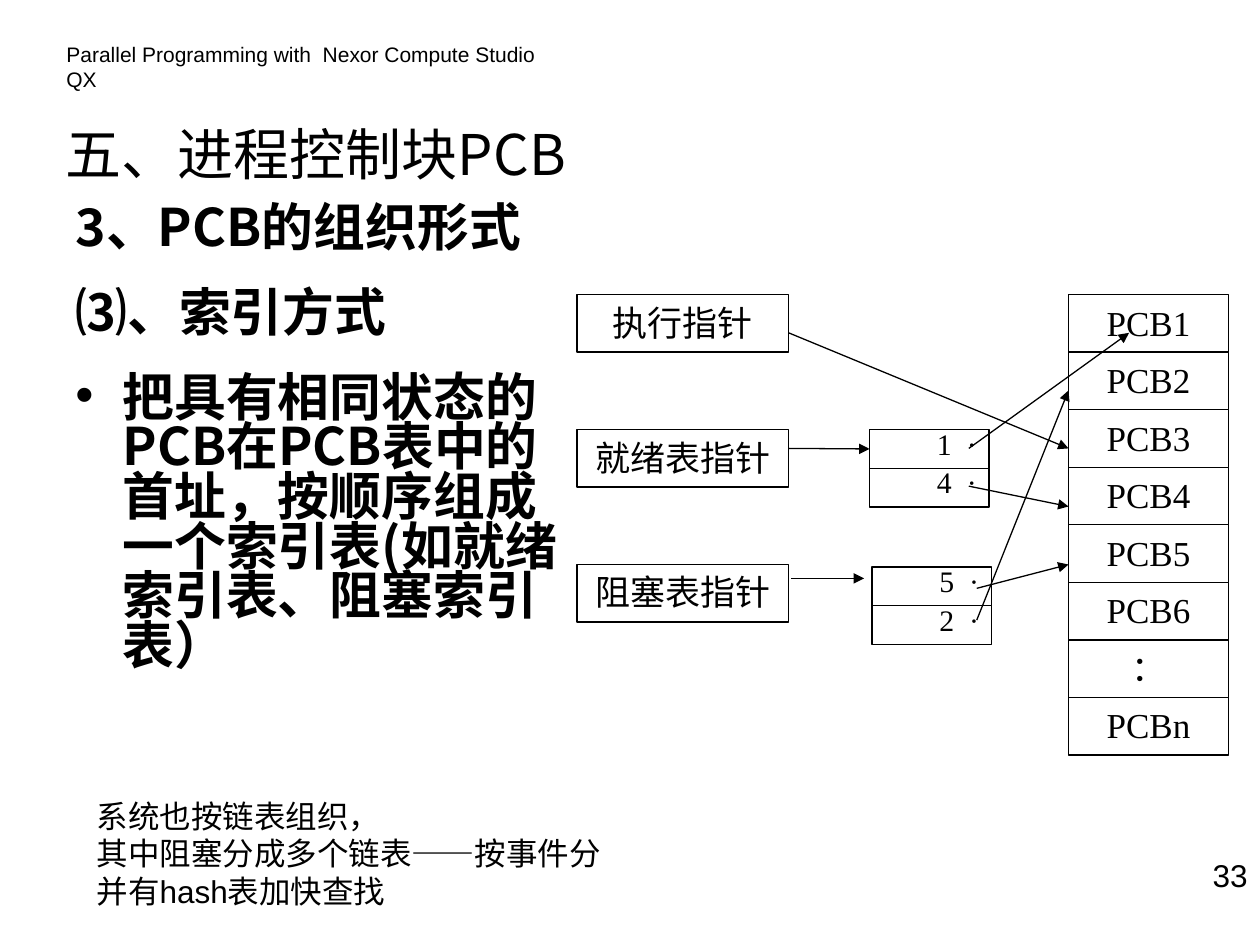
from pptx import Presentation
from pptx.dml.color import RGBColor
from pptx.enum.shapes import MSO_CONNECTOR as Connector, MSO_SHAPE as Shape
from pptx.enum.text import MSO_ANCHOR as Anchor, MSO_AUTO_SIZE as AutoSize, PP_ALIGN as Align
from pptx.oxml.ns import qn
from pptx.util import Cm, Pt
from lxml.etree import SubElement

BLACK = RGBColor(0, 0, 0)
WHITE = RGBColor(255, 255, 255)
HAN_FONT = "Noto Sans CJK SC"


def write(box, lines, font, size, bold=False, inset=0.13, anchor=Anchor.TOP,
          fit=AutoSize.NONE, **para_format):
    """Fill a text frame with one paragraph per line."""
    frame = box.text_frame
    frame_format = {"word_wrap": True, "auto_size": fit, "vertical_anchor": anchor,
                    "margin_left": Cm(0.25), "margin_right": Cm(0.25),
                    "margin_top": Cm(inset), "margin_bottom": Cm(inset)}
    for name, value in frame_format.items():
        setattr(frame, name, value)
    frame.text = "\n".join(lines)
    for para in frame.paragraphs:
        for name, value in para_format.items():
            setattr(para, name, value)
        for span in para.runs:
            for name, value in {"name": font, "size": Pt(size), "bold": bold}.items():
                setattr(span.font, name, value)
            span.font.color.rgb = BLACK
            SubElement(span.font._element, qn("a:ea"), typeface=HAN_FONT)


def add_cell(left, top, width, height, text, **text_format):
    """Add a white box with a thin black outline."""
    box = page.shapes.add_shape(Shape.RECTANGLE, Cm(left), Cm(top), Cm(width), Cm(height))
    box.shadow.inherit = False
    box.fill.solid()
    box.fill.fore_color.rgb = WHITE
    box.line.color.rgb = BLACK
    box.line.width = Pt(0.75)
    write(box, [text], "Times New Roman", **text_format)
    return box


deck = Presentation()
deck.slide_width, deck.slide_height = Cm(25.4), Cm(19.05)
page = deck.slides.add_slide(deck.slide_layouts[1])

# Title and body placeholders
title, body = page.placeholders
for box, place in ((title, (1.07, 2.13, 14.4, 1.9)), (body, (1.27, 4.04, 10.36, 11.63))):
    box.left, box.top, box.width, box.height = map(Cm, place)
write(title, ["五、进程控制块PCB"], HAN_FONT, 32, anchor=Anchor.MIDDLE, alignment=Align.LEFT)
write(body, ["3、PCB的组织形式", "⑶、索引方式",
             "把具有相同状态的PCB在PCB表中的首址，按顺序组成一个索引表(如就绪索引表、阻塞索引表）"],
      HAN_FONT, 29.6, bold=True, line_spacing=0.8, space_before=Pt(20))

# Hanging indent for the body, bullet on the last paragraph only
for para in body.text_frame.paragraphs:
    props = para._p.get_or_add_pPr()
    props.set("marL", str(Cm(0.95)))
    props.set("indent", str(Cm(-0.95)))
    if para.text.startswith("把"):
        SubElement(props, qn("a:buFont"), typeface="Arial")
        SubElement(props, qn("a:buChar"), char="•")
    else:
        SubElement(props, qn("a:buNone"))

# Header, page number and remark
for place, lines, size, align in (
    ((1.09, 0.71, 10.41, 0.76),
     ["Parallel Programming with  Nexor Compute Studio QX"], 12, Align.LEFT),
    ((23.7, 17.12, 1.7, 1.02), ["33"], 18, Align.RIGHT),
    ((1.7, 15.93, 12.7, 2.54),
     ["系统也按链表组织，", "其中阻塞分成多个链表——按事件分", "并有hash表加快查找"], 18, Align.LEFT),
):
    box = page.shapes.add_textbox(*map(Cm, place))
    write(box, lines, "Arial", size, fit=AutoSize.SHAPE_TO_FIT_TEXT, alignment=align)

# PCB table and the three list pointers
ROW = 1.16
for row, text in enumerate(["PCB1", "PCB2", "PCB3", "PCB4", "PCB5", "PCB6", "：", "PCBn"]):
    add_cell(21.54, 5.94 + row * ROW, 3.23, ROW, text, size=20, alignment=Align.CENTER)
for row, text in enumerate(["执行指针", "就绪表指针", "阻塞表指针"]):
    add_cell(11.63, 5.94 + row * 2.72, 4.27, ROW, text, size=20, alignment=Align.CENTER)

# Index tables for the ready and blocked lists
index_cells = {}
for left, top, entries in ((17.53, 8.66, "14"), (17.58, 11.43, "52")):
    for row, entry in enumerate(entries):
        index_cells[entry] = add_cell(left, top + row * 0.78, 2.41, 0.78, f"{entry}  ·", size=17,
                                      inset=0, alignment=Align.RIGHT, line_spacing=0.9)

# Arrows from pointers and index entries to their targets
for start_x, start_y, end_x, end_y, target in (
    (15.9, 6.71, 21.54, 9.04, None),
    (15.9, 9.04, 17.53, 9.04, index_cells["1"]),
    (19.53, 9.04, 22.76, 6.71, None),
    (19.53, 9.8, 21.54, 10.21, None),
    (15.95, 11.66, 17.42, 11.66, None),
    (19.69, 11.86, 21.54, 11.38, None),
    (19.69, 12.5, 21.54, 7.87, None),
):
    arrow = page.shapes.add_connector(Connector.STRAIGHT, Cm(start_x), Cm(start_y),
                                      Cm(end_x), Cm(end_y))
    if target:
        arrow.end_connect(target, 1)
    arrow.line.color.rgb = BLACK
    arrow.line.width = Pt(0.75)
    SubElement(arrow.line._get_or_add_ln(), qn("a:tailEnd"), type="triangle")
    SubElement(arrow._element.spPr, qn("a:effectLst"))

deck.save("out.pptx")
